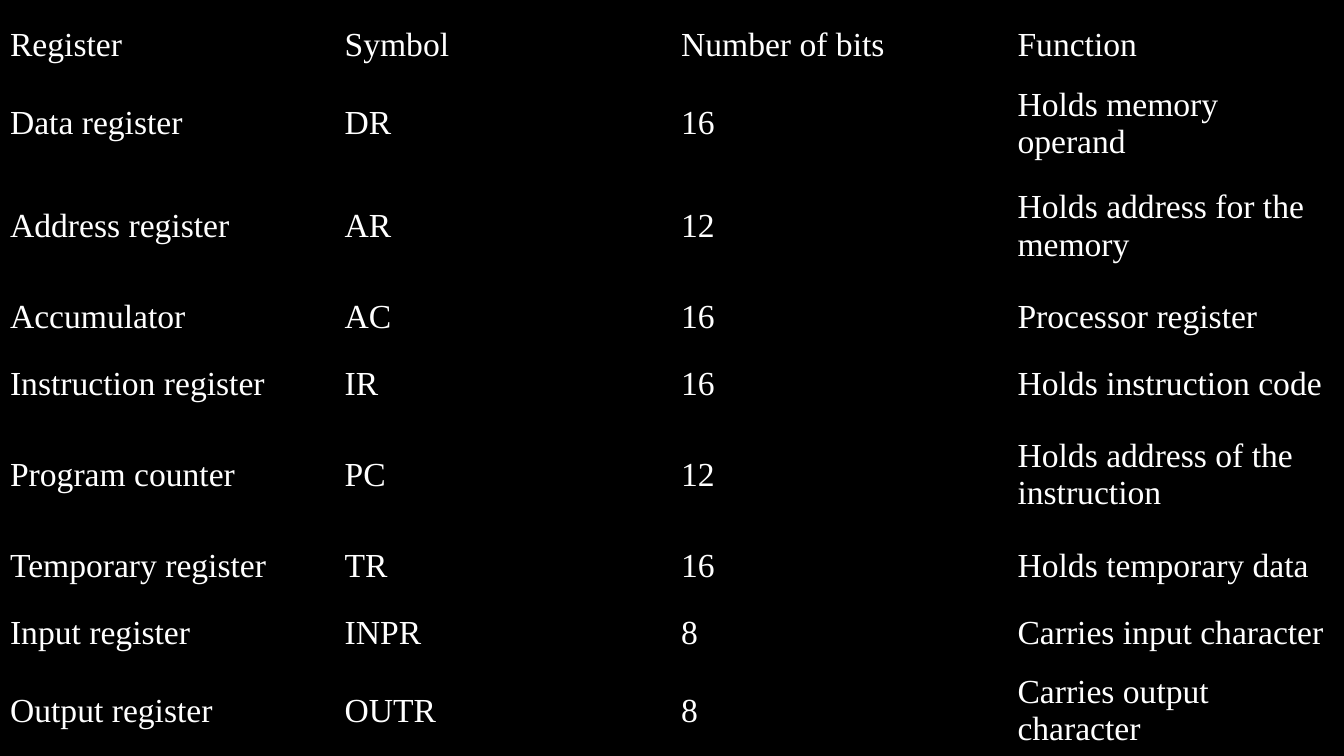
from lxml import etree
from pptx import Presentation
from pptx import util as u
from pptx.dml.color import RGBColor
from pptx.enum import text
from pptx.oxml.ns import qn

Pt = u.Pt
COLORS = {"back": "000000", "text": "FFFFFF"}
HEAD = ("Register", "Symbol", "Number of bits", "Function")
REGISTERS = [
    ("Data register", "DR", "16", "Holds memory operand"),
    ("Address register", "AR", "12", "Holds address for the memory"),
    ("Accumulator", "AC", "16", "Processor register"),
    ("Instruction register", "IR", "16", "Holds instruction code"),
    ("Program counter", "PC", "12", "Holds address of the instruction"),
    ("Temporary register", "TR", "16", "Holds temporary data"),
    ("Input register", "INPR", "8", "Carries input character"),
    ("Output register", "OUTR", "8", "Carries output character"),
]
WIDTHS = [239, 240.33, 240.33, 240.34]
LOW, MID, TALL = 47.5, 64, 82.8
HEIGHTS = [48.2, MID, TALL, LOW, LOW, TALL, LOW, LOW, MID]


class Page:
    """Holds the text style and the slide being filled."""

    def __init__(self, slide, font, size):
        self.slide, self.font, self.size = slide, font, size

    def color(self, name):
        return RGBColor.from_string(COLORS[name])

    def back(self, name):
        fill = self.slide.background.fill
        fill.solid()
        fill.fore_color.rgb = self.color(name)

    def cell(self, cell, words):
        """Write one clear cell without borders."""
        cell.text = words
        cell.vertical_anchor = text.MSO_ANCHOR.MIDDLE
        font = cell.text_frame.paragraphs[0].font
        font.name, font.size = self.font, Pt(self.size)
        font.color.rgb = self.color("text")
        props = cell._tc.get_or_add_tcPr()
        for side in ("lnL", "lnR", "lnT", "lnB"):
            line = etree.SubElement(props, qn("a:" + side))
            etree.SubElement(line, qn("a:noFill"))
        cell.fill.background()

    def table(self, left, top, widths, heights, rows):
        grid = self.slide.shapes.add_table(
            len(rows), len(widths), Pt(left), Pt(top),
            Pt(sum(widths)), Pt(sum(heights))).table
        grid.first_row = grid.horz_banding = False
        for col, width in zip(grid.columns, widths):
            col.width = Pt(width)
        for row, height, words in zip(grid.rows, heights, rows):
            row.height = Pt(height)
            for cell, word in zip(row.cells, words):
                self.cell(cell, word)


def main():
    deck = Presentation()
    deck.slide_width, deck.slide_height = Pt(960), Pt(540)
    page = Page(deck.slides.add_slide(deck.slide_layouts[6]),
                "Times New Roman", 24)
    page.back("back")
    page.table(0, 8, WIDTHS, HEIGHTS, [HEAD] + REGISTERS)
    deck.save("out.pptx")


if __name__ == "__main__":
    main()
